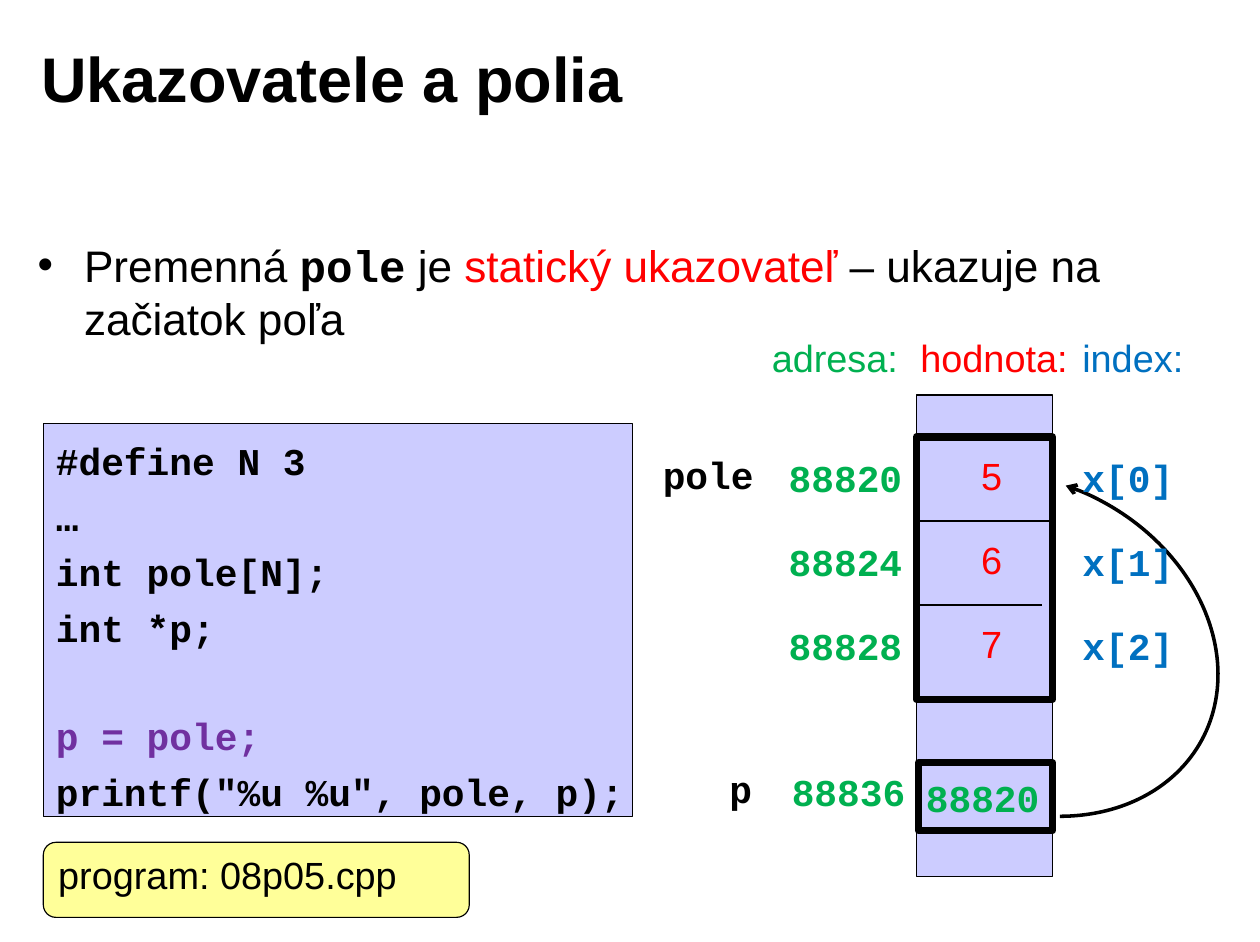
from lxml import etree
from pptx import Presentation
from pptx import util as u
from pptx.dml import color
from pptx.enum import shapes, text
from pptx.oxml import ns

Cm, Pt = u.Cm, u.Pt
BLACK, RED, GREEN, BLUE, PURPLE = "000000", "FF0000", "00B050", "0070C0", "7030A0"
LILAC, YELLOW = "CCCCFF", "FFFF99"
SANS = {"name": "Arial", "size": Pt(24), "bold": False}
MONO = {"name": "Courier New", "size": Pt(24), "bold": True}
ROW = 1.88


def paint(fill, hex_colour):
    fill.solid()
    fill.fore_color.rgb = color.RGBColor.from_string(hex_colour)


def write(paragraph, words, look, hex_colour):
    run = paragraph.add_run()
    run.text = words
    for attribute, value in look.items():
        setattr(run.font, attribute, value)
    paint(run.font.fill, hex_colour)


deck = Presentation()
deck.slide_width, deck.slide_height = Cm(28.19), Cm(21.08)
slide = deck.slides.add_slide(deck.slide_layouts[1])
heading, claim = slide.shapes.title, slide.placeholders[1]

for holder, place, top_inset, anchor in (
    (heading, (0.64, 0.43, 22.66, 2.59), 0.15, text.MSO_ANCHOR.MIDDLE),
    (claim, (0.56, 5.08, 27.1, 7.16), 0.25, text.MSO_ANCHOR.TOP),
):
    holder.left, holder.top, holder.width, holder.height = map(Cm, place)
    frame_format = {
        "margin_left": Cm(0.28), "margin_right": Cm(0.28),
        "margin_top": Cm(top_inset), "margin_bottom": Cm(0.15),
        "vertical_anchor": anchor, "word_wrap": True,
        "auto_size": text.MSO_AUTO_SIZE.NONE,
    }
    for attribute, value in frame_format.items():
        setattr(holder.text_frame, attribute, value)

title_line = heading.text_frame.paragraphs[0]
title_line.alignment = text.PP_ALIGN.LEFT
write(title_line, "Ukazovatele a polia", SANS | {"size": Pt(40), "bold": True}, BLACK)

claim_line = claim.text_frame.paragraphs[0]
claim_line.space_before = Pt(0)
claim_props = claim_line._p.get_or_add_pPr()
claim_props.set("marL", str(Cm(1.04)))
claim_props.set("indent", str(-Cm(1.04)))
etree.SubElement(claim_props, ns.qn("a:buChar")).set("char", "•")
for words, look, hue in (
    ("Premenná ", SANS, BLACK),
    ("pole", MONO, BLACK),
    (" je ", SANS, BLACK),
    ("statický ukazovateľ ", SANS, RED),
    ("– ukazuje na začiatok poľa", SANS, BLACK),
):
    write(claim_line, words, look | {"size": Pt(28)}, hue)

kinds = shapes.MSO_SHAPE
drawn = []
for kind, place, fill, weight in (
    (kinds.RECTANGLE, (0.97, 9.47, 13.18, 8.81), LILAC, 0.75),
    (kinds.RECTANGLE, (20.5, 8.84, 3.05, 10.77), LILAC, 0.75),
    (kinds.RECTANGLE, (20.5, 9.78, 3.05, 5.87), None, 4.5),
    (kinds.RECTANGLE, (20.55, 17.07, 3, 1.52), None, 4.5),
    (kinds.ARC, (18.49, 10.8, 8.94, 7.26), None, 2.25),
    (kinds.ROUNDED_RECTANGLE, (0.97, 18.85, 9.53, 1.68), YELLOW, 0.75),
):
    shape = slide.shapes.add_shape(kind, *map(Cm, place))
    shape.shadow.inherit = False
    if fill:
        paint(shape.fill, fill)
    else:
        shape.fill.background()
    paint(shape.line.fill, BLACK)
    shape.line.width = Pt(weight)
    drawn.append(shape)
code, memory, array_cells, pointer_cell, pointer_arrow, program = drawn

pointer_arrow.rotation = 28.6
pointer_arrow.adjustments[0] = 153.21
pointer_arrow.adjustments[1] = 30.18
arrow_line = pointer_arrow.line._get_or_add_ln()
etree.SubElement(arrow_line, ns.qn("a:headEnd")).set("type", "arrow")

for row, right in ((1, 23.55), (2, 23.32)):
    y = Cm(9.78 + ROW * row)
    divider = slide.shapes.add_connector(shapes.MSO_CONNECTOR.STRAIGHT, Cm(20.5), y, Cm(right), y)
    paint(divider.line.fill, BLACK)
    divider.line.width = Pt(0.75)
    etree.SubElement(divider._element.spPr, ns.qn("a:effectLst"))

code_format = {
    "margin_left": Cm(0.28), "margin_right": Cm(0.28),
    "margin_top": Cm(0.33), "margin_bottom": Cm(0.15),
    "vertical_anchor": text.MSO_ANCHOR.TOP, "word_wrap": False,
}
for attribute, value in code_format.items():
    setattr(code.text_frame, attribute, value)
for number, (statement, gap, hue) in enumerate((
    ("#define N 3", 0, BLACK),
    ("…", 6.4, BLACK),
    ("int pole[N];", 6.4, BLACK),
    ("int *p;", 6.4, BLACK),
    ("p = pole;", 40, PURPLE),
    ('printf("%u %u", pole, p);', 6.4, BLACK),
)):
    code_line = code.text_frame.add_paragraph() if number else code.text_frame.paragraphs[0]
    code_line.alignment = text.PP_ALIGN.LEFT
    code_line.space_before = Pt(gap)
    write(code_line, statement, MONO, hue)

program.text_frame.vertical_anchor = text.MSO_ANCHOR.TOP
program_line = program.text_frame.paragraphs[0]
program_line.alignment = text.PP_ALIGN.LEFT
write(program_line, "program: 08p05.cpp", SANS, BLACK)

labels = [
    ("adresa:", 16.99, 7.37, 3.38, SANS, GREEN),
    ("hodnota:", 20.32, 7.37, 3.84, SANS, RED),
    ("index:", 23.95, 7.37, 2.79, SANS, BLUE),
    ("pole", 14.17, 9.98, 3.35, MONO, BLACK),
    ("p", 15.42, 17.02, 2.31, MONO, BLACK),
    ("88836", 17.45, 17.07, 3.07, MONO, GREEN),
    ("88820", 20.45, 17.22, 3.07, MONO, GREEN),
]
for index, (address, number) in enumerate((("88820", "5"), ("88824", "6"), ("88828", "7"))):
    drop = ROW * index
    labels += [
        (address, 17.38, 10.06 + drop, 3.07, MONO, GREEN),
        (number, 21.13, 10.01 + drop, 2.11, SANS, RED),
        (f"x[{index}]", 23.95, 10.06 + drop, 2.57, MONO, BLUE),
    ]
for words, left, top, width, look, hue in labels:
    label = slide.shapes.add_textbox(Cm(left), Cm(top), Cm(width), Cm(1.28))
    label.text_frame.word_wrap = False
    label_line = label.text_frame.paragraphs[0]
    label_line.alignment = text.PP_ALIGN.CENTER
    write(label_line, words, look, hue)

deck.save("out.pptx")
